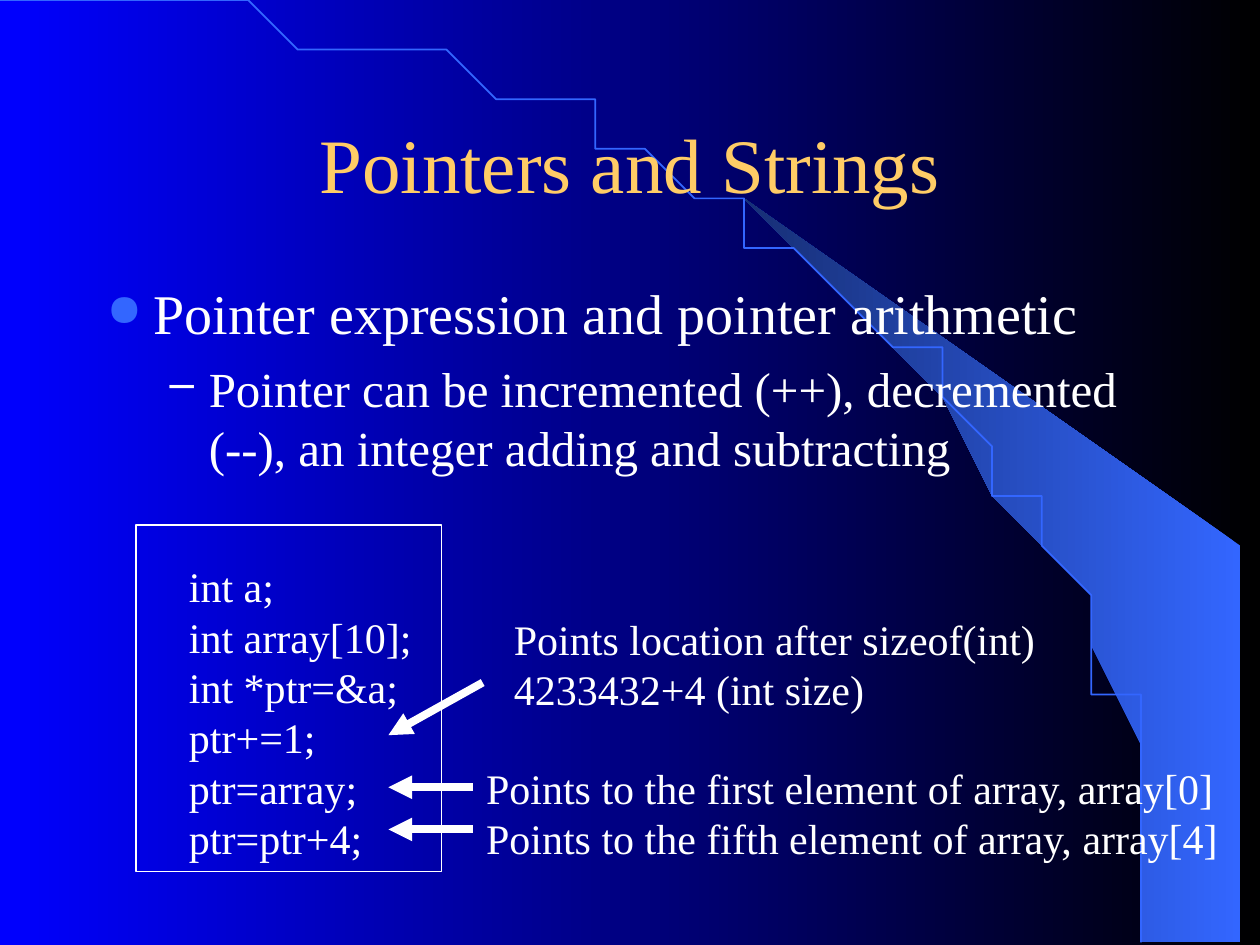
"""Build the slide on pointer arithmetic with code, notes and arrows."""
from lxml import etree
from pptx import Presentation
from pptx.dml.color import RGBColor
from pptx.enum import shapes, text
from pptx.oxml.ns import qn
from pptx.util import Cm, Pt

WHITE, BLUE, GOLD = "FFFFFF", "3366FF", "FFCC66"


def rgb(code):
    return RGBColor.from_string(code)


def write(words, left, top, wide, high, size=24, color=WHITE, wrap=False,
          align=text.PP_ALIGN.LEFT, anchor=text.MSO_ANCHOR.TOP, marks=()):
    box = slide.shapes.add_textbox(Cm(left), Cm(top), Cm(wide), Cm(high))
    frame = box.text_frame
    frame.word_wrap = wrap
    frame.vertical_anchor = anchor
    frame.text = words
    for para in frame.paragraphs:
        para.alignment = align
        para.font.size = Pt(size)
        para.font.name = "Times New Roman"
        para.font.color.rgb = rgb(color)
    for para, (sign, tint, scale, edge, hang, gap, size) in zip(frame.paragraphs, marks):
        para.font.size = Pt(size)
        para.space_before = Pt(gap)
        props = para._p.get_or_add_pPr()
        props.set("marL", str(Cm(edge)))
        props.set("indent", str(-Cm(hang)))
        parts = [etree.Element(qn("a:" + tag)) for tag in ("buClr", "buSzPct", "buChar")]
        etree.SubElement(parts[0], qn("a:srgbClr"), val=tint)
        parts[1].set("val", str(scale * 1000))
        parts[2].set("char", sign)
        spot = props.index(props.find(qn("a:defRPr")))
        props[spot:spot] = parts


deck = Presentation()
deck.slide_width, deck.slide_height = Cm(25.4), Cm(19.05)
slide = deck.slides.add_slide(deck.slide_layouts[6])

moon = [(23.37, 19), (25.37, 19.02), (25.37, 10.74), (14.96, 4.39), (15.85, 5.05),
        (16.59, 5.64), (17.4, 6.35), (18.19, 7.11), (19.35, 8.38), (20.4, 9.75),
        (21.13, 10.95), (21.79, 12.17), (22.3, 13.41), (22.68, 14.53),
        (22.94, 15.47), (23.19, 16.66), (23.29, 17.68)]
count = 80
arc = []
for step in range(count + 1):
    t = step / count
    arc.append((3 * (1 - t) * t**2 * 23.37 + 3 * (1 - t)**2 * t * 12.9 + t**3 * 23.37,
                3 * (1 - t) * t**2 * 8.51 + t**3 * 19.02))

forms = []
for points, closed in ((moon, True), (arc, False)):
    pen = slide.shapes.build_freeform(*points[0], scale=Cm(1))
    pen.add_line_segments(points[1:], close=closed)
    form = pen.convert_to_shape()
    form.shadow.inherit = False
    forms.append(form)
glow, curve = forms
glow.line.fill.background()
curve.fill.background()
curve.line.color.rgb = rgb(BLUE)
curve.line.width = Pt(1)

for fill, tones in ((slide.background.fill, ("000000", "0000FF")),
                    (glow.fill, (BLUE, "172F75"))):
    fill.gradient()
    fill.gradient_angle = 180
    for stop, tone in zip(fill.gradient_stops, tones):
        stop.color.rgb = rgb(tone)

write("Pointers and Strings", 1.9, 1.7, 21.6, 3.18, size=44, color=GOLD, wrap=True,
      align=text.PP_ALIGN.CENTER, anchor=text.MSO_ANCHOR.MIDDLE)
write("Pointer expression and pointer arithmetic\n"
      "Pointer can be incremented (++), decremented (--), "
      "an integer adding and subtracting",
      1.9, 5.5, 21.6, 11.43, wrap=True,
      marks=(("●", BLUE, 80, 0.95, 0.95, 8, 32), ("–", WHITE, 90, 2.06, 0.79, 7, 28)))
write("int a;\nint array[10];\nint *ptr=&a;\nptr+=1;\nptr=array;\nptr=ptr+4;",
      3.56, 11.18, 5, 7.37)
write("Points location after sizeof(int)\n4233432+4 (int size)", 10.11, 12.24, 11.02, 2.29)

frame = slide.shapes.add_shape(shapes.MSO_SHAPE.RECTANGLE,
                               Cm(2.75), Cm(10.58), Cm(6.15), Cm(6.99))
frame.shadow.inherit = False
frame.fill.background()
frame.line.color.rgb = rgb(WHITE)
frame.line.width = Pt(1)

write("Points to the first element of array, array[0]\n"
      "Points to the fifth element of array, array[4]", 9.55, 15.24, 15.27, 2.29)

tip = 7.83
for left, top, end in ((9.73, 13.76, 14.82), (9.53, 16.72, 16.72), (9.53, 15.87, 15.87)):
    arrow = slide.shapes.add_connector(shapes.MSO_CONNECTOR.STRAIGHT,
                                       Cm(left), Cm(top), Cm(tip), Cm(end))
    arrow.line.color.rgb = rgb(WHITE)
    arrow.line.width = Pt(4.5)
    etree.SubElement(arrow.line._get_or_add_ln(), qn("a:tailEnd"), type="triangle")
    etree.SubElement(arrow._element.spPr, qn("a:effectLst"))

deck.save("out.pptx")
